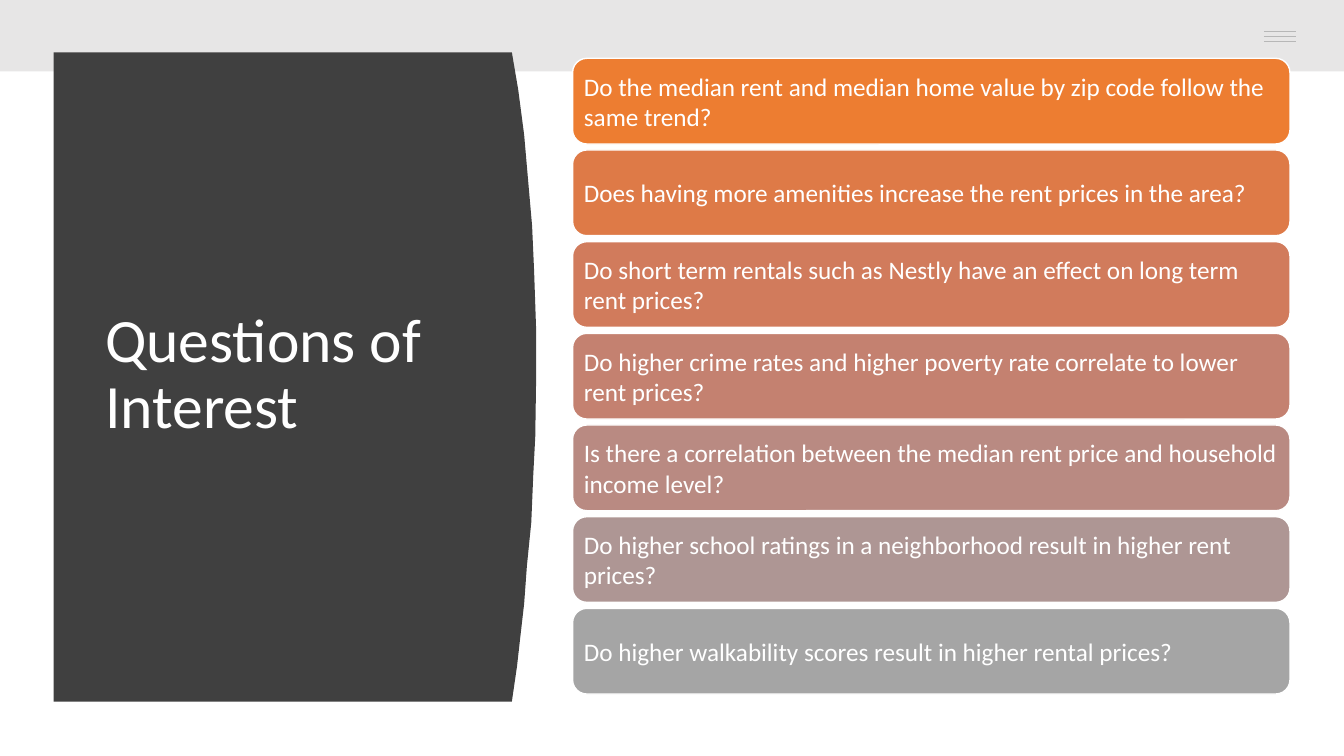
from dataclasses import dataclass

from lxml import etree
from pptx import Presentation
from pptx.dml.color import RGBColor
from pptx.enum import shapes, text
from pptx.oxml.ns import qn
from pptx.util import Cm, Pt


@dataclass(frozen=True)
class Theme:
    font: str = "Calibri"
    title_size: int = 44
    question_size: int = 18
    white: str = "FFFFFF"
    band: str = "E7E6E6"
    menu: str = "B7B7B7"
    panel: str = "404040"
    questions: tuple = ("ED7D31", "DE7A47", "D17B5C", "C48170",
                        "B98A82", "AE9694", "A5A5A5")


theme = Theme()


def paint(shape, color):
    """Give a shape a flat fill with no shadow or outline."""
    shape.shadow.inherit = False
    shape.fill.solid()
    shape.fill.fore_color.rgb = RGBColor.from_string(color)
    shape.line.fill.background()


def write(shape, words, size):
    """Put white, left-aligned, vertically centred text in a shape."""
    frame = shape.text_frame
    frame.word_wrap = True
    frame.vertical_anchor = text.MSO_ANCHOR.MIDDLE
    paragraph = frame.paragraphs[0]
    paragraph.alignment = text.PP_ALIGN.LEFT
    run = paragraph.add_run()
    run.text = words
    run.font.name = theme.font
    run.font.size = Pt(size)
    run.font.color.rgb = RGBColor.from_string(theme.white)
    return paragraph


presentation = Presentation()
presentation.slide_width = Cm(33.87)
presentation.slide_height = Cm(19.05)
slide = presentation.slides.add_slide(presentation.slide_layouts[6])

# Top band and menu lines
band = slide.shapes.add_shape(shapes.MSO_SHAPE.RECTANGLE,
                              0, 0, presentation.slide_width, Cm(1.8))
paint(band, theme.band)

for row in range(3):
    y = Cm(0.8 + row * 0.12)
    menu_line = slide.shapes.add_connector(shapes.MSO_CONNECTOR.STRAIGHT,
                                           Cm(31.85), y, Cm(32.65), y)
    menu_line.line.color.rgb = RGBColor.from_string(theme.menu)
    menu_line.line.width = Pt(0.75)
    etree.SubElement(menu_line._element.spPr, qn("a:effectLst"))

# Dark panel with a curved right edge
panel_left, panel_top, panel_bottom = 1.35, 1.32, 17.68
curved_edge = [
    (12.9, panel_top), (13.06, 2.26), (13.21, 3.4), (13.31, 4.55),
    (13.41, 5.69), (13.46, 6.81), (13.51, 8.26), (13.51, 9.65),
    (13.49, 11), (13.44, 11.96), (13.39, 13.16), (13.28, 14.25),
    (13.21, 15.21), (13.11, 16.08), (13.03, 16.79), (12.9, panel_bottom),
]
outline = curved_edge + [(panel_left, panel_bottom)]
builder = slide.shapes.build_freeform(Cm(panel_left), Cm(panel_top))
builder.add_line_segments([(Cm(x), Cm(y)) for x, y in outline], close=True)
paint(builder.convert_to_shape(), theme.panel)

title = slide.shapes.add_textbox(Cm(2.4), Cm(2.82), Cm(9.5), Cm(13.3))
write(title, "Questions of Interest", theme.title_size).line_spacing = 0.9

# Question boxes
questions = [
    "Do the median rent and median home value by zip code follow the same trend?",
    "Does having more amenities increase the rent prices in the area?",
    "Do short term rentals such as Nestly have an effect on long term rent prices?",
    "Do higher crime rates and higher poverty rate correlate to lower rent prices?",
    "Is there a correlation between the median rent price and household income level?",
    "Do higher school ratings in a neighborhood result in higher rent prices?",
    "Do higher walkability scores result in higher rental prices?",
]
for index, (question, color) in enumerate(zip(questions, theme.questions)):
    box = slide.shapes.add_shape(shapes.MSO_SHAPE.ROUNDED_RECTANGLE,
                                 Cm(14.43), Cm(1.47 + index * 2.31),
                                 Cm(18.08), Cm(2.16))
    paint(box, color)
    box.line.color.rgb = RGBColor.from_string(theme.white)
    box.line.width = Pt(1)
    frame = box.text_frame
    # The rounded corners already add 0.1 cm to the margins
    frame.margin_left = frame.margin_right = Cm(0.18)
    frame.margin_top = frame.margin_bottom = Cm(0.18)
    write(box, question, theme.question_size)

presentation.save("out.pptx")
